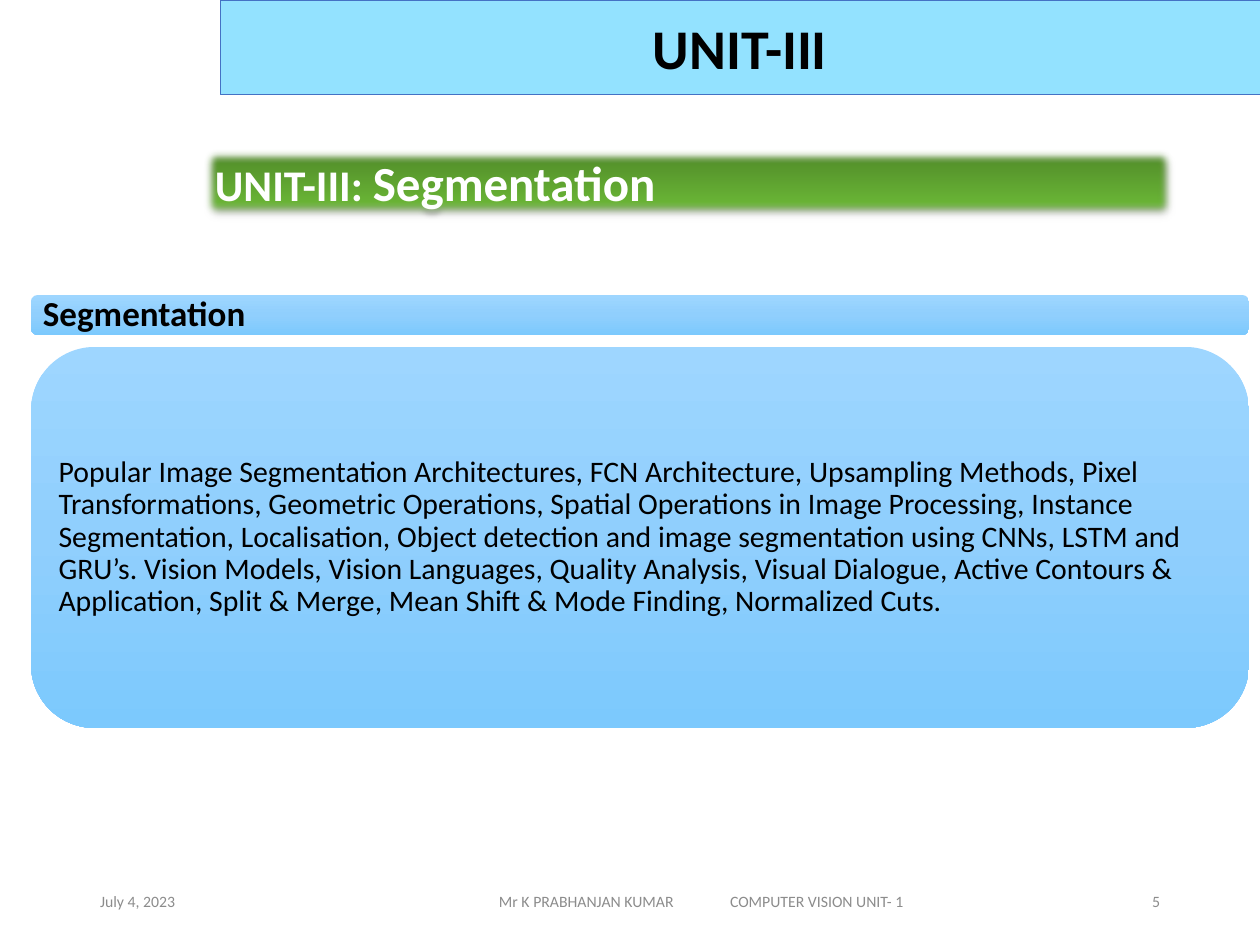
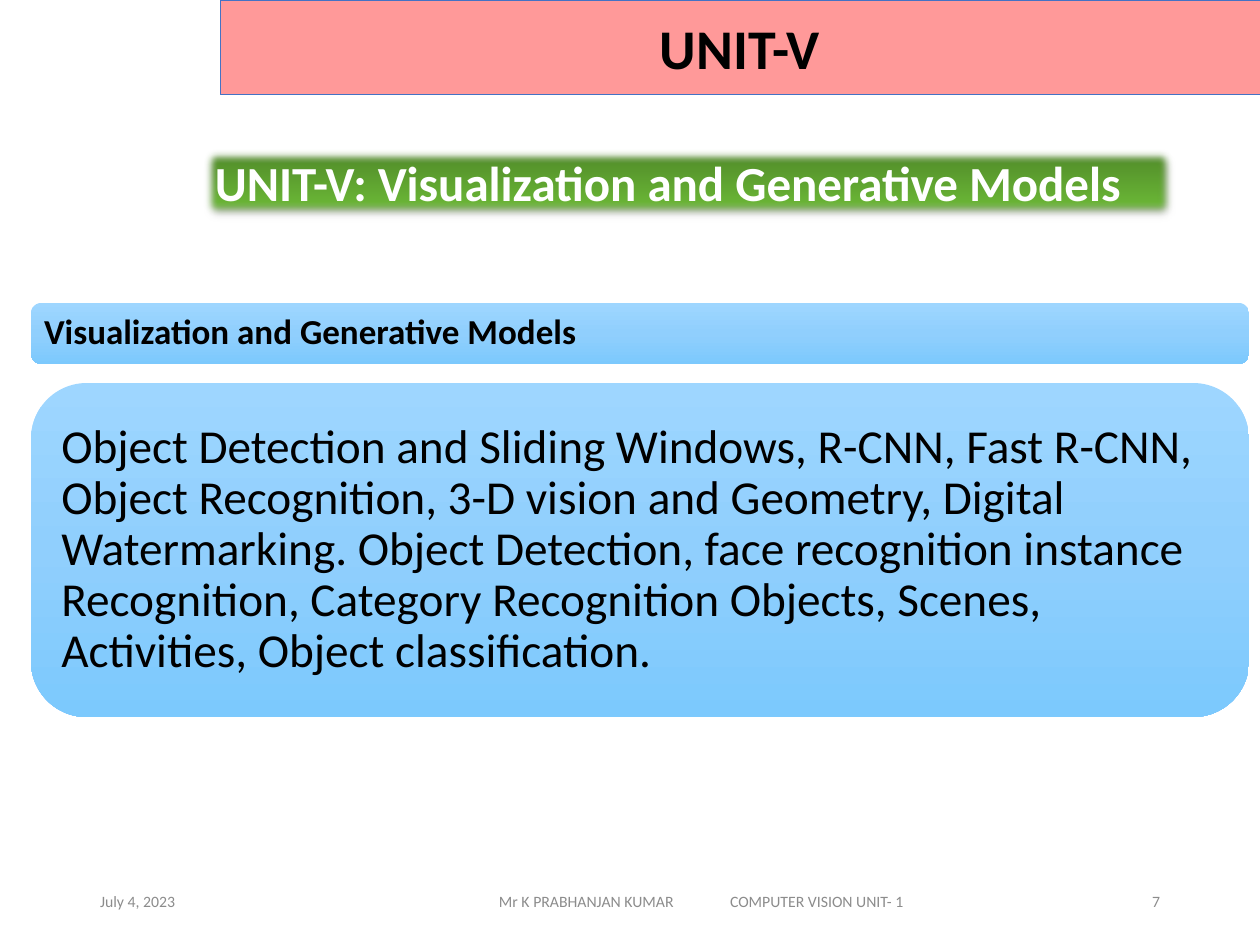
"""Build two course-unit slides with a banner, a topic bar and a syllabus card."""
import pptx
import pptx.dml.color
import pptx.enum.shapes
import pptx.enum.text
import pptx.oxml
import pptx.oxml.ns
import pptx.util

EMU_PER_PX = 914400 / 126
SLIDE_SIZE = (1260, 945)
TITLE_ONLY = 5
FONT = "Calibri"
BLACK, WHITE, GREY, BANNER_LINE = "000000", "FFFFFF", "8C8C8C", "4472C4"
GREEN_STOPS = [(0, "4D8527"), (80, "6AB636"), (100, "6ABA34")]
BLUE_STOPS = [(0, "9ED6FF"), (50, "90CFFD"), (100, "7CC9FD")]

SHAPES = pptx.enum.shapes.MSO_SHAPE
ALIGN = pptx.enum.text.PP_ALIGN
ANCHOR = pptx.enum.text.MSO_ANCHOR
MAIN_NAMESPACE = pptx.oxml.ns.nsdecls("a")

UNITS = [
    {
        "title": "UNIT-III",
        "banner": "93E2FF",
        "topic": [("UNIT-III: ", 25), ("Segmentation", 28)],
        "heading": "Segmentation",
        "heading_box": (31, 295, 1218, 40),
        "body": "Popular Image Segmentation Architectures, FCN Architecture, "
                "Upsampling Methods, Pixel Transformations, Geometric Operations, "
                "Spatial Operations in Image Processing, Instance Segmentation, "
                "Localisation, Object detection and image segmentation using CNNs, "
                "LSTM and GRU’s. Vision Models, Vision Languages, Quality Analysis, "
                "Visual Dialogue, Active Contours & Application, Split & Merge, "
                "Mean Shift & Mode Finding, Normalized Cuts.",
        "body_box": (31, 347, 1218, 381),
        "body_size": 17,
        "body_inset": 9,
        "number": "5",
    },
    {
        "title": "UNIT-V",
        "banner": "FF9999",
        "topic": [("UNIT-V: Visualization and Generative Models", 28)],
        "heading": "Visualization and Generative Models",
        "heading_box": (31, 303, 1218, 61),
        "body": "Object Detection and Sliding Windows, R-CNN, Fast R-CNN, "
                "Object Recognition, 3-D vision and Geometry, Digital Watermarking. "
                "Object Detection, face recognition instance Recognition, "
                "Category Recognition Objects, Scenes, Activities, "
                "Object classification.",
        "body_box": (31, 383, 1218, 334),
        "body_size": 27,
        "body_inset": 14,
        "number": "7",
    },
]


def px(length):
    """Turn a length in px into EMU."""
    return pptx.util.Emu(round(length * EMU_PER_PX))


def color(hex_string):
    """Return the RGB colour of a hex string."""
    return pptx.dml.color.RGBColor.from_string(hex_string)


def set_values(target, values):
    """Set each attribute of the target from a dict."""
    for name, value in values.items():
        setattr(target, name, value)


def place(shape, box):
    """Move and size a shape to a box in px."""
    set_values(shape, dict(zip(("left", "top", "width", "height"), map(px, box))))


def write(shape, runs, text_color, bold=False, align=ALIGN.LEFT,
          anchor=ANCHOR.MIDDLE, insets=(13, 6), spacing=1.0):
    """Write one paragraph of (text, size) runs into a shape."""
    across, down = map(px, insets)
    frame = shape.text_frame
    set_values(frame, {
        "word_wrap": True, "auto_size": pptx.enum.text.MSO_AUTO_SIZE.NONE,
        "vertical_anchor": anchor, "margin_left": across, "margin_right": across,
        "margin_top": down, "margin_bottom": down,
    })
    paragraph = frame.paragraphs[0]
    set_values(paragraph, {"alignment": align, "line_spacing": spacing})
    for text, size in runs:
        run = paragraph.add_run()
        run.text = text
        set_values(run.font, {"name": FONT, "size": pptx.util.Pt(size), "bold": bold})
        run.font.color.rgb = color(text_color)
    return paragraph


def fill_gradient(shape, stops):
    """Fill a shape from top to bottom through the given stops."""
    shape.fill.gradient()
    shape.fill.gradient_angle = 270
    stop_list = shape.element.spPr.find(".//" + pptx.oxml.ns.qn("a:gsLst"))
    for stop in list(stop_list):
        stop_list.remove(stop)
    for percent, hex_string in stops:
        stop_list.append(pptx.oxml.parse_xml(
            f'<a:gs {MAIN_NAMESPACE} pos="{percent * 1000}">'
            f'<a:srgbClr val="{hex_string}"/></a:gs>'))


def add_bar(slide, kind, box, stops):
    """Add a borderless gradient shape."""
    shape = slide.shapes.add_shape(kind, 0, 0, 0, 0)
    place(shape, box)
    fill_gradient(shape, stops)
    shape.line.fill.background()
    shape.shadow.inherit = False
    return shape


def add_banner(slide, title, fill):
    """Format the title placeholder as the banner at the top."""
    banner = slide.shapes.title
    place(banner, (220, 0, 1040, 95))
    banner.fill.solid()
    banner.fill.fore_color.rgb = color(fill)
    banner.line.color.rgb = color(BANNER_LINE)
    banner.line.width = pptx.util.Pt(0.5)
    write(banner, [(title, 32)], BLACK, bold=True, align=ALIGN.CENTER)


def add_topic_bar(slide, runs):
    """Add the green soft-edged bar that names the topic."""
    bar = add_bar(slide, SHAPES.RECTANGLE, (202, 147, 974, 72), GREEN_STOPS)
    effects = bar.element.spPr.find(pptx.oxml.ns.qn("a:effectLst"))
    effects.append(pptx.oxml.parse_xml(
        f'<a:outerShdw {MAIN_NAMESPACE} blurRad="39370" dist="22860" dir="5400000" '
        'rotWithShape="0"><a:srgbClr val="000000"><a:alpha val="35000"/>'
        '</a:srgbClr></a:outerShdw>'))
    effects.append(pptx.oxml.parse_xml(f'<a:softEdge {MAIN_NAMESPACE} rad="63500"/>'))
    write(bar, runs, WHITE, bold=True, anchor=ANCHOR.TOP)


def add_card(slide, box, text, size, insets, bold=False):
    """Add a rounded blue card with its text."""
    card = add_bar(slide, SHAPES.ROUNDED_RECTANGLE, box, BLUE_STOPS)
    write(card, [(text, size)], BLACK, bold=bold, insets=insets, spacing=0.9)


def add_footer_text(slide, left, width, text, align=ALIGN.LEFT):
    """Add one grey text of the footer row."""
    footer = slide.shapes.add_textbox(0, 0, 0, 0)
    place(footer, (left, 876, width, 50))
    paragraph = write(footer, [(text, 9)], GREY, align=align)
    return footer, paragraph


def add_footer(slide, number):
    """Add the date, the course line and the slide number."""
    add_footer_text(slide, 87, 283, "July 4, 2023")
    course, paragraph = add_footer_text(
        slide, 399, 609, "Mr K PRABHANJAN KUMAR\tCOMPUTER VISION UNIT- 1")
    course.text_frame.margin_left = px(100)
    paragraph._p.get_or_add_pPr().append(pptx.oxml.parse_xml(
        f'<a:tabLst {MAIN_NAMESPACE}><a:tab pos="{px(231)}" algn="l"/></a:tabLst>'))
    add_footer_text(slide, 890, 283, number, ALIGN.RIGHT)


def add_unit_slide(presentation, unit):
    """Add the slide of one unit."""
    slide = presentation.slides.add_slide(presentation.slide_layouts[TITLE_ONLY])
    add_footer(slide, unit["number"])
    add_banner(slide, unit["title"], unit["banner"])
    add_topic_bar(slide, unit["topic"])
    add_card(slide, unit["heading_box"], unit["heading"], 20, (10, 0), bold=True)
    inset = unit["body_inset"]
    add_card(slide, unit["body_box"], unit["body"], unit["body_size"], (inset, inset))


def main():
    """Build and save the presentation."""
    presentation = pptx.Presentation()
    presentation.slide_width, presentation.slide_height = map(px, SLIDE_SIZE)
    for unit in UNITS:
        add_unit_slide(presentation, unit)
    presentation.save("out.pptx")


if __name__ == "__main__":
    main()
